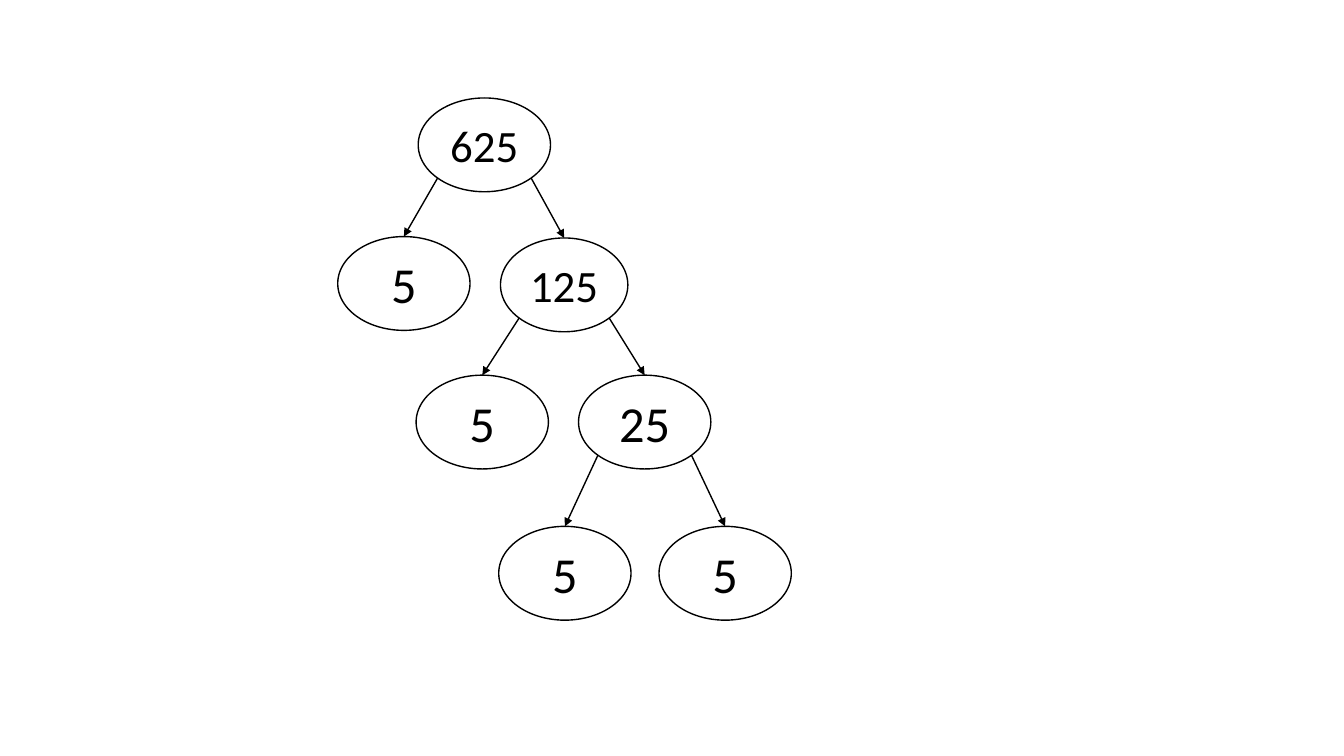
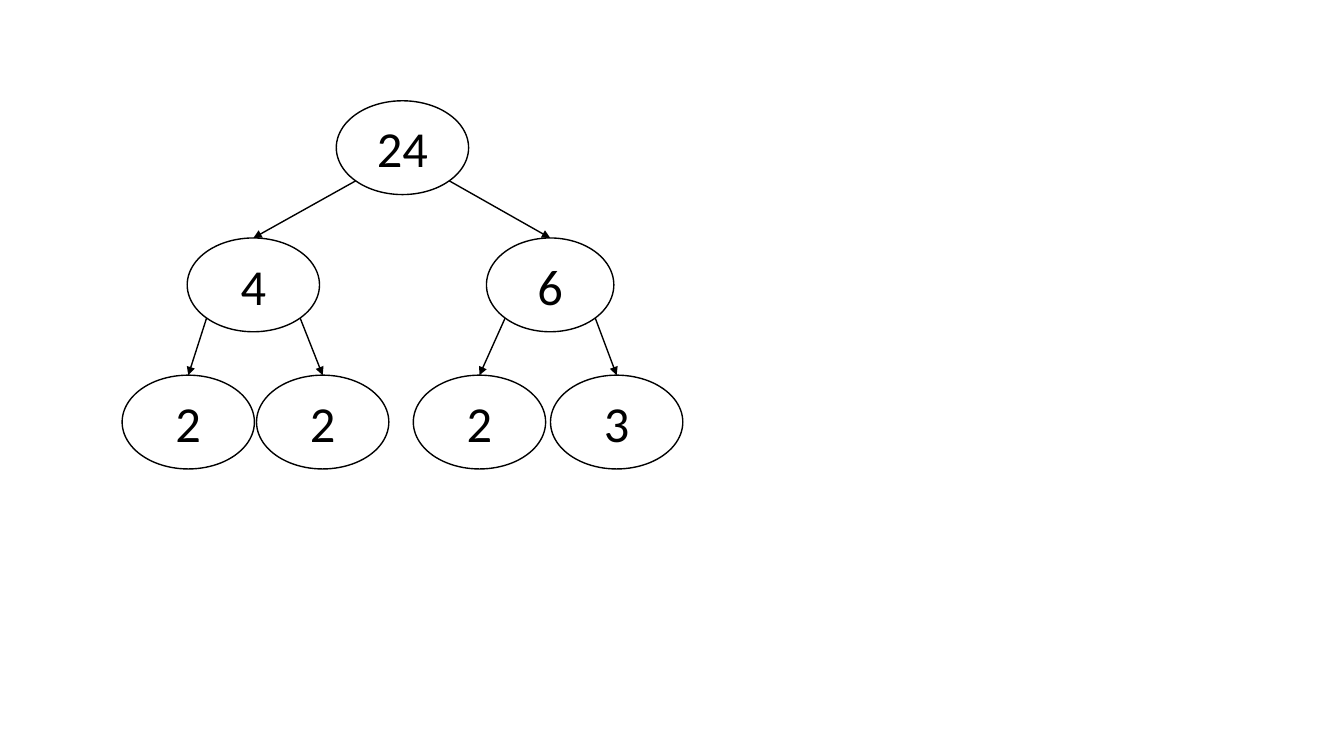
from math import sqrt

from lxml.etree import SubElement
from pptx import Presentation
from pptx.dml.color import RGBColor
from pptx.enum.shapes import MSO_CONNECTOR, MSO_SHAPE
from pptx.enum.text import MSO_ANCHOR, PP_ALIGN
from pptx.oxml.ns import qn
from pptx.util import Pt

COLORS = {"paper": "FFFFFF", "ink": "000000"}
FONT = "Calibri"
LINE_WIDTH = 1
NODE_W, NODE_H = 94.5, 67
BLANK_LAYOUT = 6


def color(name):
    return RGBColor.from_string(COLORS[name])


def write(tf, text, size=36, ink="ink", align=PP_ALIGN.CENTER):
    tf.word_wrap = True
    tf.vertical_anchor = MSO_ANCHOR.MIDDLE
    p = tf.paragraphs[0]
    p.alignment = align
    r = p.add_run()
    r.text = text
    r.font.name = FONT
    r.font.size = Pt(size)
    r.font.color.rgb = color(ink)


class Deck:
    def __init__(self, width=960, height=540):
        self.prs = Presentation()
        self.prs.slide_width, self.prs.slide_height = Pt(width), Pt(height)
        self.s = None

    def new_slide(self):
        self.s = self.prs.slides.add_slide(self.prs.slide_layouts[BLANK_LAYOUT])

    def outline(self, sp):
        sp.line.color.rgb = color("ink")
        sp.line.width = Pt(LINE_WIDTH)

    def node(self, text, center, top, width=NODE_W, size=36):
        sp = self.s.shapes.add_shape(MSO_SHAPE.OVAL, Pt(center - width / 2), Pt(top),
                                     Pt(width), Pt(NODE_H))
        sp.shadow.inherit = False
        sp.fill.solid()
        sp.fill.fore_color.rgb = color("paper")
        self.outline(sp)
        write(sp.text_frame, text, size=size)
        return sp

    def arrow(self, parent, child, side):
        """Run from the parent's lower diagonal (side -1 left, 1 right) to the child's top."""
        reach = 1 / sqrt(2)
        x = parent.left + parent.width / 2 * (1 + side * reach)
        y = parent.top + parent.height / 2 * (1 + reach)
        cxn = self.s.shapes.add_connector(MSO_CONNECTOR.STRAIGHT, int(x), int(y),
                                          child.left + child.width // 2, child.top)
        cxn.end_connect(child, 0)
        self.outline(cxn)
        SubElement(cxn.line._get_or_add_ln(), qn("a:tailEnd"), type="triangle")
        SubElement(cxn._element.spPr, qn("a:effectLst"))

    def tree(self, text, center, top, children=(), **style):
        """Draw a node, its left and right subtrees, and the arrows to them."""
        parent = self.node(text, center, top, **style)
        for side, child in zip((-1, 1), children):
            self.arrow(parent, self.tree(**child), side)
        return parent


def branch(text, center, top, *children, **style):
    return dict(text=text, center=center, top=top, children=children, **style)


FACTOR_TREES = [
    branch("625", 346, 70,
           branch("5", 288.5, 169),
           branch("125", 403, 170,
                  branch("5", 344.5, 268),
                  branch("25", 460.5, 268,
                         branch("5", 403.5, 376),
                         branch("5", 518, 376)),
                  width=91, size=32),
           size=32),
    branch("24", 287.5, 72,
           branch("4", 181, 170,
                  branch("2", 134.5, 268),
                  branch("2", 230.5, 268)),
           branch("6", 393, 170,
                  branch("2", 342.5, 268),
                  branch("3", 440.5, 268),
                  width=91)),
]


def main():
    deck = Deck()
    for root in FACTOR_TREES:
        deck.new_slide()
        deck.tree(**root)
    deck.prs.save("out.pptx")


if __name__ == "__main__":
    main()
